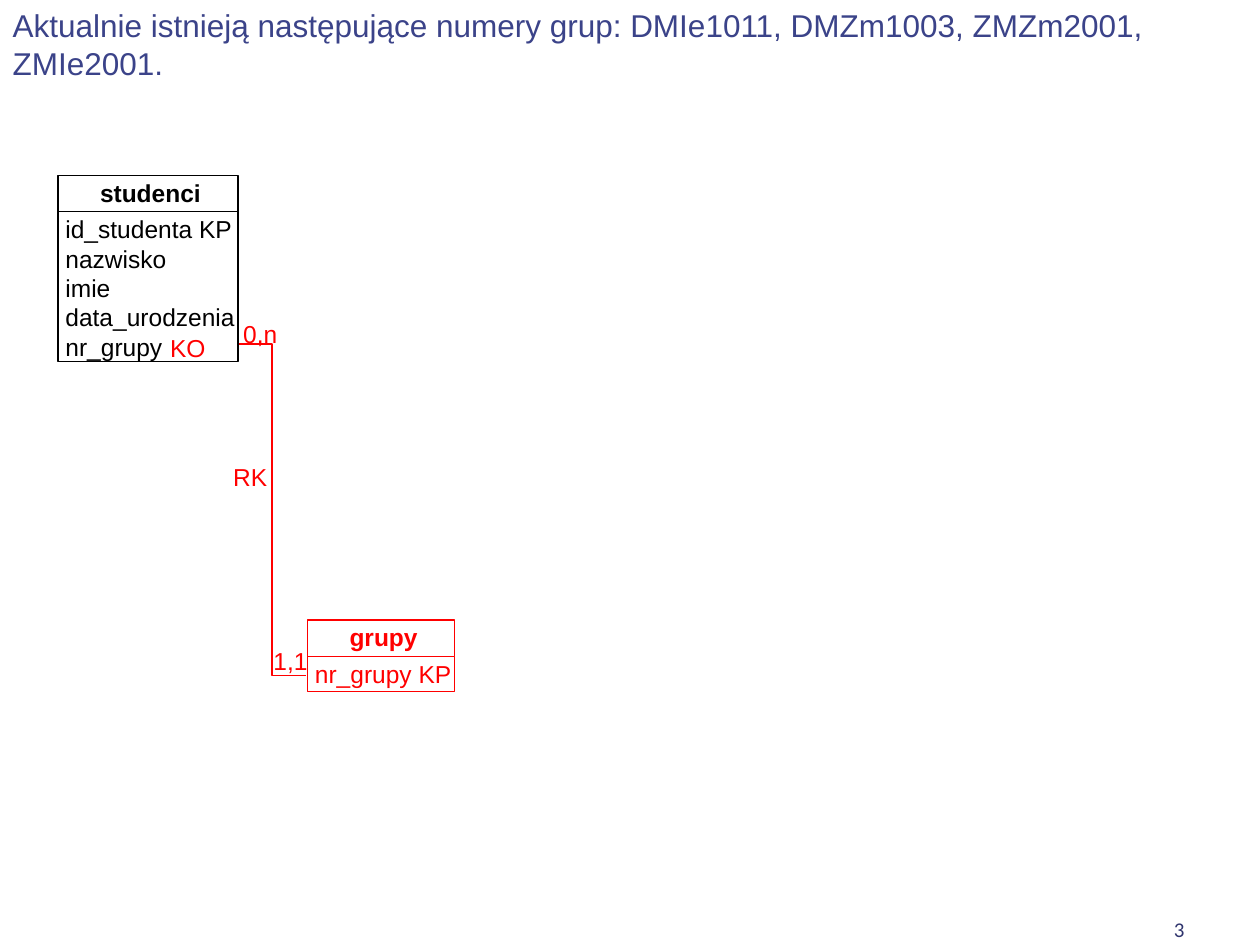
from lxml.etree import SubElement
from pptx import Presentation
from pptx.dml.color import RGBColor
from pptx.enum.shapes import MSO_CONNECTOR, MSO_SHAPE
from pptx.enum.text import MSO_ANCHOR as Anchor, MSO_AUTO_SIZE as AutoSize, PP_ALIGN as Align
from pptx.oxml.ns import qn
from pptx.util import Inches, Pt

BLACK = RGBColor(0x00, 0x00, 0x00)
RED = RGBColor(0xFF, 0x00, 0x00)
WHITE = RGBColor(0xFF, 0xFF, 0xFF)
TITLE_BLUE = RGBColor(0x3B, 0x43, 0x89)
NUMBER_BLUE = RGBColor(0x30, 0x35, 0x6E)

TITLE = ("Aktualnie istnieją następujące numery grup: "
         "DMIe1011, DMZm1003, ZMZm2001, ZMIe2001.")
SLIDE_NUMBER = "3"
HEADER_HEIGHT = 0.29
INDENT = 0.04
FIELD_INDENT = 0.06
LINE_WIDTH = Pt(0.75)

# name, fields, colour, left, top, width, height of the field box
ENTITIES = [
    ("studenci", "id_studenta KP\nnazwisko\nimie\vdata_urodzenia\nnr_grupy",
     BLACK, 0.46, 1.39, 1.43, 1.19),
    ("grupy", "nr_grupy KP", RED, 2.44, 4.92, 1.17, 0.28),
]
# text, left, top, width, height, left indent
LABELS = [
    ("1,1", 2.13, 5.13, 0.55, 0.27, INDENT),
    ("0,n", 1.89, 2.53, 0.32, 0.18, INDENT),
    ("KO", 1.35, 2.64, 0.36, 0.24, 0),
    ("RK", 1.85, 3.67, 0.32, 0.25, 0),
]
RELATION = (1.89, 2.73, 2.43, 5.36)


def write(shape, text, color, size=14, font="Arial", bold=False, align=Align.LEFT,
          anchor=Anchor.TOP, insets=(0, 0), indent=0):
    """Fill a shape with text in one format."""
    frame = shape.text_frame
    frame.text = text
    frame.word_wrap = True
    frame.auto_size = AutoSize.NONE
    frame.vertical_anchor = anchor
    frame.margin_left = frame.margin_right = Inches(insets[0])
    frame.margin_top = frame.margin_bottom = Inches(insets[1])
    for paragraph in frame.paragraphs:
        paragraph.alignment = align
        properties = paragraph._p.get_or_add_pPr()
        properties.set("marL", str(Inches(indent)))
        properties.set("indent", "0")
        for run in paragraph.runs:
            run.font.name, run.font.size, run.font.bold = font, Pt(size), bold
            run.font.color.rgb = color


def add_box(slide, left, top, width, height, color):
    """Add a white rectangle with a thin outline."""
    box = slide.shapes.add_shape(MSO_SHAPE.RECTANGLE, *map(Inches, (left, top, width, height)))
    box.shadow.inherit = False
    box.fill.solid()
    box.fill.fore_color.rgb = WHITE
    box.line.color.rgb = color
    box.line.width = LINE_WIDTH
    return box


def add_entity(slide, name, fields, color, left, top, width, height):
    """Add an entity: a name box above a box of fields."""
    header = add_box(slide, left, top, width, HEADER_HEIGHT, color)
    write(header, name, color, bold=True, align=Align.CENTER,
          insets=(0.1, 0.02), indent=INDENT)
    body = add_box(slide, left, top + HEADER_HEIGHT, width, height, color)
    write(body, fields, color, insets=(0, 0.02), indent=FIELD_INDENT)


def add_relation(slide, ends):
    """Add the elbow line that joins the entities."""
    line = slide.shapes.add_connector(MSO_CONNECTOR.ELBOW, *map(Inches, ends))
    line.line.color.rgb = RED
    line.line.width = LINE_WIDTH
    SubElement(line._element.spPr, qn("a:effectLst"))


def add_text(slide, left, top, width, height, text, color, **style):
    """Add a text box."""
    box = slide.shapes.add_textbox(*map(Inches, (left, top, width, height)))
    write(box, text, color, **style)


presentation = Presentation()
presentation.slide_width, presentation.slide_height = Inches(10), Inches(7.5)
slide = presentation.slides.add_slide(presentation.slide_layouts[5])

title = slide.shapes.title
title.left, title.top, title.width, title.height = map(Inches, (0, 0, 10, 0.71))
write(title, TITLE, TITLE_BLUE, size=18, insets=(0.1, 0.05))

add_relation(slide, RELATION)
for entity in ENTITIES:
    add_entity(slide, *entity)
for text, left, top, width, height, indent in LABELS:
    add_text(slide, left, top, width, height, text, RED, indent=indent)
add_text(slide, 7.17, 7, 2.33, 0.52, SLIDE_NUMBER, NUMBER_BLUE, size=12, font="Calibri",
         align=Align.RIGHT, anchor=Anchor.BOTTOM, insets=(0.1, 0.05))

presentation.save("out.pptx")
